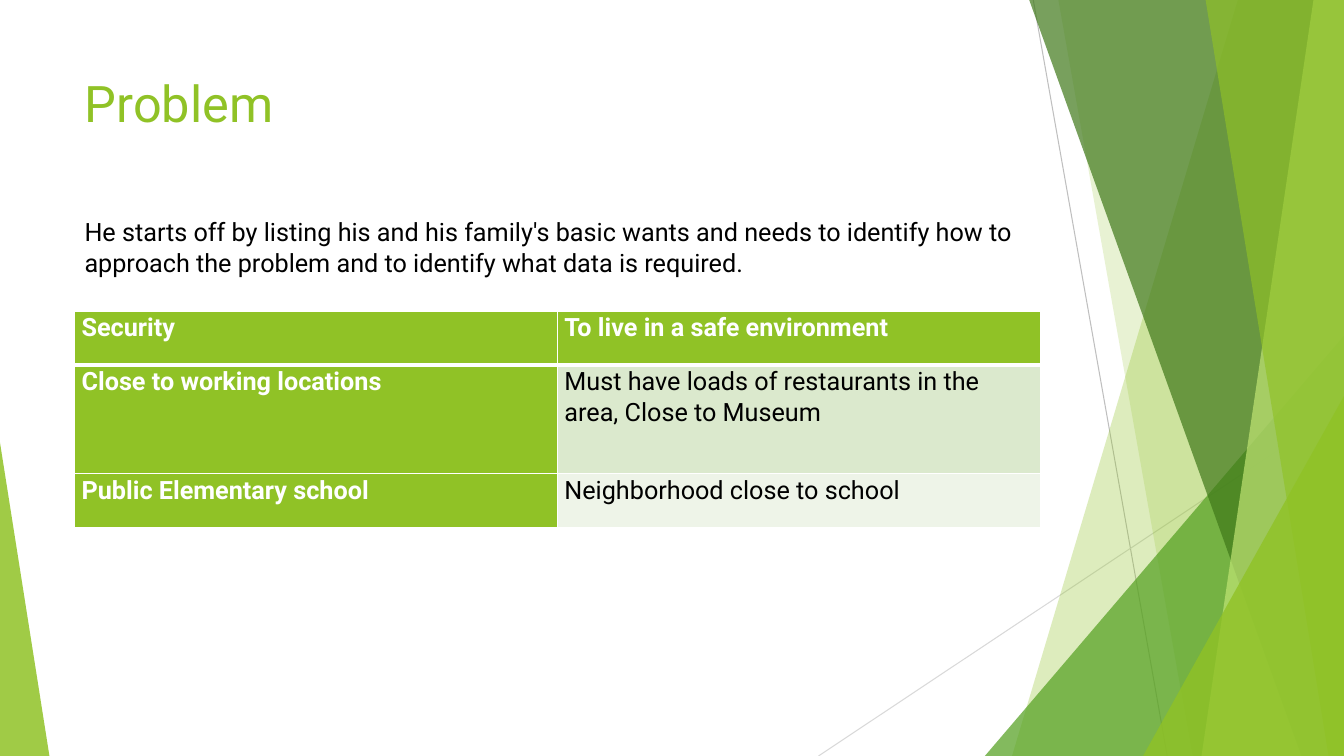
from dataclasses import dataclass

from lxml import etree
from pptx import Presentation
from pptx.dml.color import RGBColor
from pptx.enum.shapes import MSO_CONNECTOR, MSO_SHAPE
from pptx.enum.text import MSO_ANCHOR, MSO_AUTO_SIZE, PP_ALIGN
from pptx.oxml.ns import qn
from pptx.slide import Slide
from pptx.table import _Cell
from pptx.text.text import TextFrame
from pptx.util import Inches, Pt

STRAIGHT = MSO_CONNECTOR.STRAIGHT
TRIANGLE = MSO_SHAPE.ISOSCELES_TRIANGLE
TOP = MSO_ANCHOR.TOP
LEFT = PP_ALIGN.LEFT
NO_AUTOFIT = MSO_AUTO_SIZE.NONE
WIDTH, HEIGHT = Inches(13.33), Inches(7.5)
TITLE_ONLY = 5
FONT = "Roboto"
GREEN, WHITE, BLACK = "90C226", "FFFFFF", "000000"
MARGIN, CONTENT_WIDTH = 5.55, 71.85


@dataclass
class Ray:
    start: tuple[float, float]
    end: tuple[float, float]
    color: str


@dataclass
class Facet:
    top_x: float
    bottom_x: float
    color: str
    opacity: int


@dataclass
class Corner:
    left: float
    top: float
    width: float
    apex: float
    color: str
    opacity: int


RAYS = [
    Ray((76.88, 0), (86.85, 100), "BFBFBF"),
    Ray((100, 53.73), (60.9, 100), "D9D9D9"),
]
PANELS = [
    Facet(92.1, 75.3, GREEN, 30),
    Facet(78.75, 88.73, GREEN, 20),
    Corner(73.28, 44.4, 26.72, 1, "54A021", 72),
    Facet(76.58, 96.83, "3F7819", 70),
    Facet(97.73, 89.4, "C0E474", 70),
    Facet(89.7, 98.85, GREEN, 65),
    Corner(85.05, 52.4, 14.95, 1, GREEN, 80),
    Corner(0, 58.53, 3.68, 0, GREEN, 85),
]
NEEDS = [
    ("Security", "To live in a safe environment"),
    ("Close to working locations",
     "Must have loads of restaurants in the area, Close to Museum"),
    ("Public Elementary school", "Neighborhood close to school"),
]
ROW_HEIGHTS = [7.07, 14.4, 7.07]
BAND_FILLS = [GREEN, "DBE9CD", "EEF4E8"]


def across(percent: float) -> int:
    return round(WIDTH * percent / 100)


def down(percent: float) -> int:
    return round(HEIGHT * percent / 100)


def rgb(color: str) -> RGBColor:
    return RGBColor.from_string(color)


def draw_ray(slide: Slide, ray: Ray) -> None:
    line = slide.shapes.add_connector(
        STRAIGHT, across(ray.start[0]), down(ray.start[1]),
        across(ray.end[0]), down(ray.end[1]))
    line.line.color.rgb = rgb(ray.color)
    line.line.width = Pt(0.75)
    etree.SubElement(line._element.spPr, qn("a:effectLst"))


def draw_panel(slide: Slide, panel: Facet | Corner) -> None:
    if isinstance(panel, Facet):
        outline = slide.shapes.build_freeform(across(panel.top_x), 0)
        outline.add_line_segments(
            [(WIDTH, 0), (WIDTH, HEIGHT), (across(panel.bottom_x), HEIGHT)])
        shape = outline.convert_to_shape()
    else:
        shape = slide.shapes.add_shape(
            TRIANGLE, across(panel.left), down(panel.top),
            across(panel.width), down(100 - panel.top))
        shape.adjustments[0] = panel.apex
    shape.shadow.inherit = False
    shape.line.fill.background()
    shape.fill.solid()
    shape.fill.fore_color.rgb = rgb(panel.color)
    tint = shape._element.spPr.find(qn("a:solidFill"))[0]
    etree.SubElement(tint, qn("a:alpha"), val=str(panel.opacity * 1000))


def write(frame: TextFrame, text: str, size: float, color: str,
          bold: bool = False) -> None:
    frame.text = text
    frame.word_wrap = True
    paragraph = frame.paragraphs[0]
    paragraph.alignment = LEFT
    font = paragraph.runs[0].font
    font.name = FONT
    font.size = Pt(size)
    font.bold = bold
    font.color.rgb = rgb(color)


def add_border(cell: _Cell, side: str, width: float) -> None:
    border = etree.SubElement(cell._tc.get_or_add_tcPr(), qn(f"a:ln{side}"),
                              w=str(Pt(width)))
    fill = etree.SubElement(border, qn("a:solidFill"))
    etree.SubElement(fill, qn("a:srgbClr"), val=WHITE)


def draw_needs(slide: Slide) -> None:
    table = slide.shapes.add_table(
        len(NEEDS), 2, across(MARGIN), down(41.2),
        across(CONTENT_WIDTH), down(sum(ROW_HEIGHTS))).table
    for row, (texts, height) in enumerate(zip(NEEDS, ROW_HEIGHTS)):
        table.rows[row].height = down(height)
        for column, text in enumerate(texts):
            cell = table.cell(row, column)
            heading = row == 0 or column == 0
            cell.margin_left = cell.margin_right = Inches(0.07)
            cell.margin_top = cell.margin_bottom = 0
            write(cell.text_frame, text, 18, WHITE if heading else BLACK, heading)
            cell.text_frame.paragraphs[0].line_spacing = 1.07
            for side in "LRTB":
                under_header = (row, side) in ((0, "B"), (1, "T"))
                add_border(cell, side, 3 if under_header else 1)
            cell.fill.solid()
            cell.fill.fore_color.rgb = rgb(GREEN if heading else BAND_FILLS[row])


def main() -> None:
    deck = Presentation()
    deck.slide_width, deck.slide_height = WIDTH, HEIGHT
    slide = deck.slides.add_slide(deck.slide_layouts[TITLE_ONLY])
    for ray in RAYS:
        draw_ray(slide, ray)
    for panel in PANELS:
        draw_panel(slide, panel)

    title = slide.shapes.title
    title.left, title.top = across(MARGIN), down(8.93)
    title.width, title.height = across(70.5), down(19.2)
    title.text_frame.auto_size = NO_AUTOFIT
    title.text_frame.vertical_anchor = TOP
    write(title.text_frame, "Problem", 36, GREEN)

    draw_needs(slide)
    intro = slide.shapes.add_textbox(
        across(MARGIN), down(28), across(CONTENT_WIDTH), down(13.47))
    write(intro.text_frame,
          "He starts off by listing his and his family's basic wants and needs "
          "to identify how to approach the problem and to identify what data "
          "is required.", 18, BLACK)
    deck.save("out.pptx")


if __name__ == "__main__":
    main()
